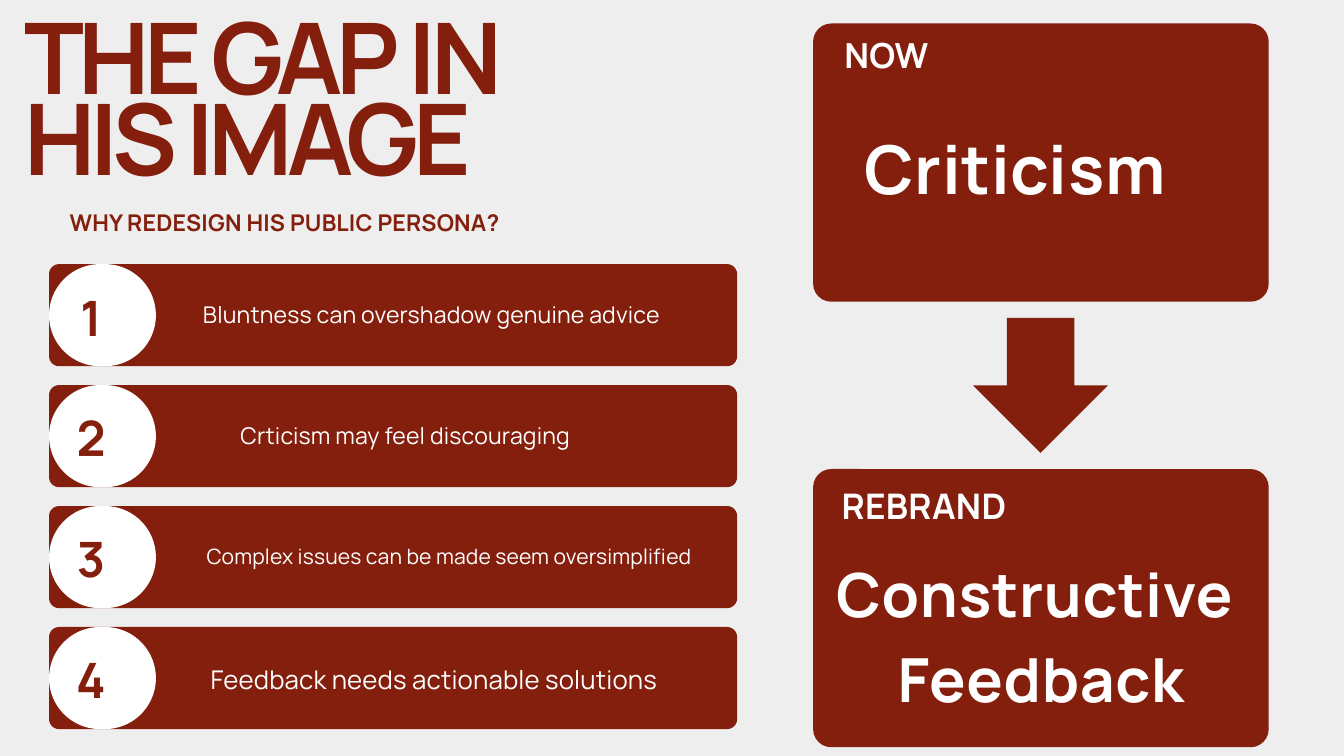
import pptx
import pptx.util
import pptx.dml.color
import pptx.enum.shapes
import pptx.enum.text

Inches = pptx.util.Inches
Pt = pptx.util.Pt
MSO_SHAPE = pptx.enum.shapes.MSO_SHAPE
PP_ALIGN = pptx.enum.text.PP_ALIGN
RED = pptx.dml.color.RGBColor(0x84, 0x1E, 0x0D)
WHITE = pptx.dml.color.RGBColor(0xFF, 0xFF, 0xFF)
GREY = pptx.dml.color.RGBColor(0xEE, 0xEE, 0xEE)


def add_block(kind, x, y, w, h, color, radius=None):
    sp = s.shapes.add_shape(kind, Inches(x), Inches(y), Inches(w), Inches(h))
    sp.shadow.inherit = False
    sp.fill.solid()
    sp.fill.fore_color.rgb = color
    sp.line.fill.background()
    if radius is not None:
        sp.adjustments[0] = radius / min(w, h)


def set_text(sp, box, text, size, leading, color, bold=True, spacing=0.2,
             align=PP_ALIGN.CENTER):
    sp.left, sp.top, sp.width, sp.height = [Inches(v) for v in box]
    tf = sp.text_frame
    tf.text = text
    tf.word_wrap = True
    tf.auto_size = pptx.enum.text.MSO_AUTO_SIZE.NONE
    tf.vertical_anchor = pptx.enum.text.MSO_ANCHOR.TOP
    tf.margin_left = tf.margin_right = tf.margin_top = tf.margin_bottom = 0
    for p in tf.paragraphs:
        p.alignment = align
        p.line_spacing = Pt(leading)
        p.space_before = Pt(0)
        for r in p.runs:
            r.font.name = "Manrope"
            r.font.size = Pt(size)
            r.font.bold = bold
            r.font.color.rgb = color
            r._r.get_or_add_rPr().set("spc", str(round(spacing * 100)))


prs = pptx.Presentation()
prs.slide_width = Inches(20)
prs.slide_height = Inches(11.25)
s = prs.slides.add_slide(prs.slide_layouts[5])
s.background.fill.solid()
s.background.fill.fore_color.rgb = GREY

set_text(s.shapes.title, (0.36, 0.49, 8.24, 2.62), "THE GAP IN HIS IMAGE",
         105.8, 86.7, RED, spacing=-5.8, align=PP_ALIGN.LEFT)

reasons = [
    ("Bluntness can overshadow genuine advice ", (1.56, 4.4, 9.8, 0.49), 24.7, 34.6),
    ("Crticism may feel discouraging ", (1.17, 6.2, 9.8, 0.49), 24.7, 34.6),
    ("Complex issues can be made seem oversimplified ", (2.25, 8.03, 8.94, 0.45), 22.6, 31.6),
    ("Feedback needs actionable solutions", (1.99, 9.8, 8.94, 0.55), 27.6, 38.6),
]
for i, (reason, box, size, leading) in enumerate(reasons):
    y = 3.93 + 1.8 * i
    add_block(MSO_SHAPE.ROUNDED_RECTANGLE, 0.73, y, 10.24, 1.52, RED, 0.15)
    add_block(MSO_SHAPE.ROUNDED_RECTANGLE, 0.73, y, 1.59, 1.52, WHITE, 0.76)
    set_text(s.shapes.add_textbox(0, 0, 0, 0), (0.73, y + 0.2, 1.25, 0.99),
             str(i + 1), 52.2, 73.1, RED, spacing=0.5)
    set_text(s.shapes.add_textbox(0, 0, 0, 0), box, reason, size, leading,
             WHITE, bold=False)

for y in (0.35, 6.98):
    add_block(MSO_SHAPE.ROUNDED_RECTANGLE, 12.1, y, 6.78, 4.14, RED, 0.27)
add_block(MSO_SHAPE.DOWN_ARROW, 14.48, 4.73, 2.01, 2.01, RED)

captions = [
    ("WHY REDESIGN HIS PUBLIC PERSONA?", (0.36, 3.03, 7.76, 0.49), 24.7, 34.6, RED, 0.2),
    ("NOW", (9.44, 0.4, 7.5, 0.74), 37, 51.8, WHITE, 0.4),
    ("REBRAND", (10, 7.1, 7.5, 0.74), 37.7, 52.8, WHITE, 0.4),
    ("Criticism", (11.36, 1.7, 7.5, 1.41), 72, 100.8, WHITE, 0.7),
    ("Constructive \nFeedback", (12.1, 8.1, 6.78, 2.55), 65.1, 91.2, WHITE, 0.7),
]
for caption, box, size, leading, color, spacing in captions:
    set_text(s.shapes.add_textbox(0, 0, 0, 0), box, caption, size, leading,
             color, spacing=spacing)

prs.save("out.pptx")
